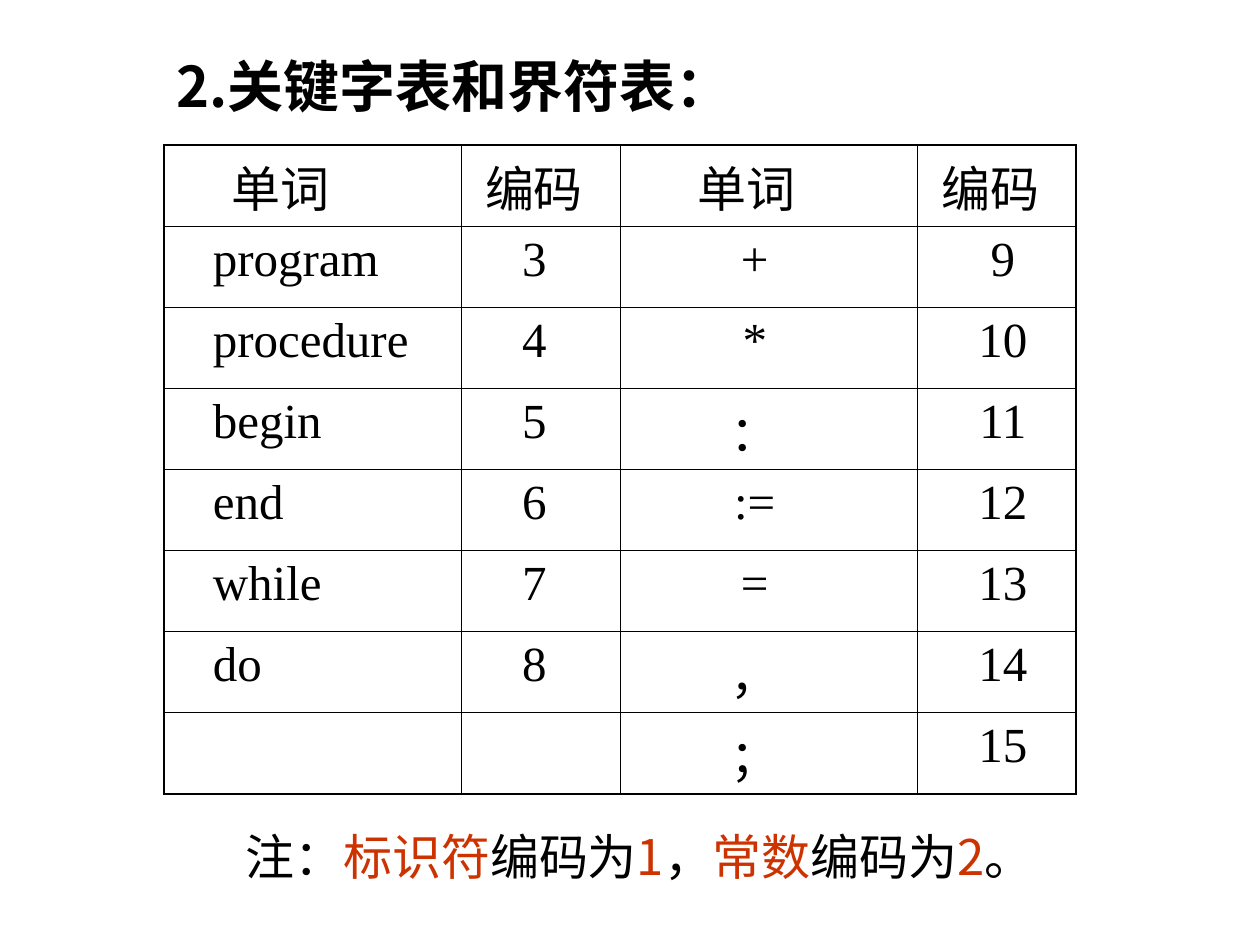
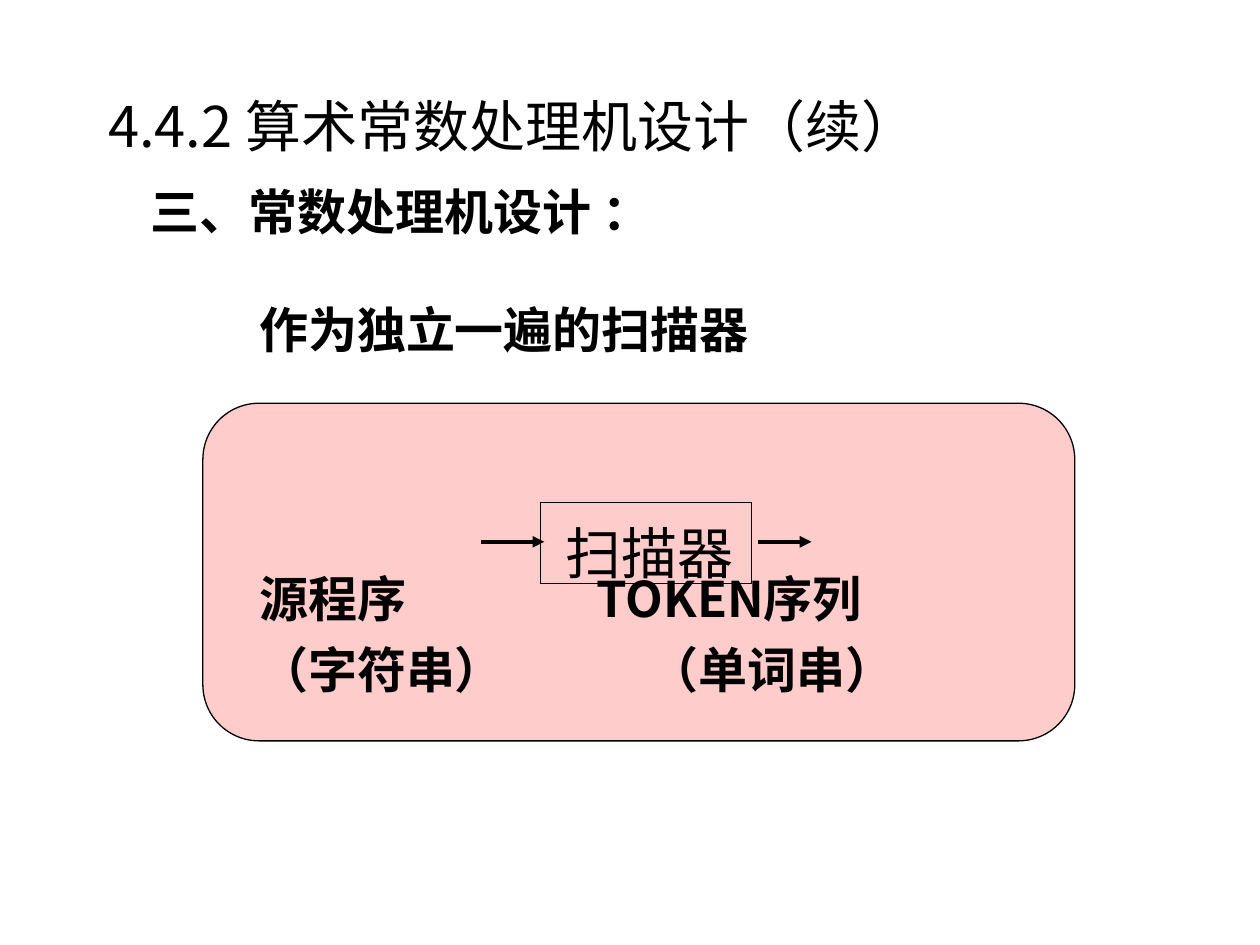
from pptx import Presentation
from pptx.dml.color import RGBColor
from pptx.enum.shapes import MSO_CONNECTOR as Conn, MSO_SHAPE as Kind
from pptx.enum.text import MSO_AUTO_SIZE as Auto, PP_ALIGN as Align
from pptx.oxml import parse_xml
from pptx.oxml.ns import nsdecls, qn
from pptx.util import Inches, Pt
from lxml.etree import SubElement

BLACK = RGBColor(0, 0, 0)
RED = RGBColor(0xCC, 0x33, 0x00)
PINK = RGBColor(0xFF, 0xCC, 0xCC)
SANS = "Noto Sans CJK SC"
SERIF = "Times New Roman"
THIN, THICK = 0.45, 1.08

HEAD = ["单词", "编码", "单词", "编码"]
WORDS = ["program", "procedure", "begin", "end", "while", "do", ""]
SIGNS = ["+", "*", "：", ":=", "=", "，", "；"]
HEAD_PADS = [(0.54, 0), (0.19, 0), (0.62, 0), (0.19, 0)]
BODY_PADS = [(0.39, 0.1), (0.1, 0.2), (0.1, 0.32), (0.2, 0.1)]
NOTE = [("注：", BLACK), ("标识符", RED), ("编码为", BLACK), ("1", RED),
        ("，", BLACK), ("常数", RED), ("编码为", BLACK), ("2", RED), ("。", BLACK)]


def write(para, text, size=28, bold=False, color=BLACK, face=SANS):
    """Add a run of text in the given format."""
    run = para.add_run()
    run.text = text
    font = run.font
    font.size, font.bold, font.name = Pt(size), bold, face
    font.color.rgb = color
    SubElement(font._element, qn("a:ea")).set("typeface", SANS)


class Deck:
    """Hold the style and the current slide."""

    def __init__(self):
        """Start an empty deck."""
        self.prs = Presentation()
        self.prs.slide_width, self.prs.slide_height = Inches(10), Inches(7.5)

    def page(self):
        """Add a blank slide."""
        self.shapes = self.prs.slides.add_slide(self.prs.slide_layouts[6]).shapes

    def box(self, x, y, w, h, hang=0):
        """Add a growing text box and return its first paragraph."""
        frame = self.shapes.add_textbox(*map(Inches, (x, y, w, h))).text_frame
        frame.word_wrap = True
        frame.auto_size = Auto.SHAPE_TO_FIT_TEXT
        para = frame.paragraphs[0]
        if hang:
            props = para._p.get_or_add_pPr()
            props.set("marL", str(Inches(hang)))
            props.set("indent", str(-Inches(hang)))
        return para

    def pairs(self, x, y, w, h, rows):
        """Add a text box with two tabbed parts on each line."""
        para = self.box(x, y, w, h)
        frame = para._parent
        for i, (left, right, stop) in enumerate(rows):
            if i:
                para = frame.add_paragraph()
                para.space_before = Pt(7)
            tabs = SubElement(para._p.get_or_add_pPr(), qn("a:tabLst"))
            tab = SubElement(tabs, qn("a:tab"))
            tab.set("pos", str(Inches(stop)))
            tab.set("algn", "l")
            write(para, f"{left}\t{right}", bold=True)

    def panel(self, x, y, w, h):
        """Add the rounded panel."""
        shape = self.shapes.add_shape(Kind.FLOWCHART_ALTERNATE_PROCESS,
                                      *map(Inches, (x, y, w, h)))
        shape.shadow.inherit = False
        shape.fill.solid()
        shape.fill.fore_color.rgb = PINK
        shape.line.color.rgb = BLACK
        shape.line.width = Pt(0.75)

    def arrow(self, x, y, end):
        """Add a level arrow."""
        line = self.shapes.add_connector(Conn.STRAIGHT, *map(Inches, (x, y, end, y)))
        line.line.color.rgb = BLACK
        line.line.width = Pt(2.25)
        SubElement(line.line._get_or_add_ln(), qn("a:tailEnd")).set("type", "triangle")
        SubElement(line._element.spPr, qn("a:effectLst"))

    def grid(self, x, y, cols, rows, h):
        """Add a plain table."""
        frame = self.shapes.add_table(rows, len(cols),
                                      *map(Inches, (x, y, sum(cols), h)))
        table = frame.table
        table.first_row = table.horz_banding = False
        for col, wide in zip(table.columns, cols):
            col.width = Inches(wide)
        return table

    def cell(self, table, r, c, text, pads, edges, size=28, align=Align.LEFT):
        """Fill one cell and rule its edges."""
        cell = table.cell(r, c)
        cell.margin_left, cell.margin_right = map(Inches, pads)
        cell.margin_top, cell.margin_bottom = Inches(0.05), 0
        cell.fill.background()
        para = cell.text_frame.paragraphs[0]
        para.alignment = align
        if text:
            write(para, text, size, face=SERIF)
        props = cell._tc.get_or_add_tcPr()
        for i, (side, wide) in enumerate(zip("LRTB", edges)):
            props.insert(i, parse_xml(
                f'<a:ln{side} {nsdecls("a")} w="{Pt(wide)}"><a:solidFill>'
                f'<a:srgbClr val="{BLACK}"/></a:solidFill></a:ln{side}>'))


def tables(deck):
    """Build the slide of keywords and signs."""
    deck.page()
    write(deck.box(1.3, 0.36, 5.51, 0.64, hang=0.5), "2.关键字表和界符表：", 32, True)
    body = [[word, str(i + 3) if word else "", sign, str(i + 9)]
            for i, (word, sign) in enumerate(zip(WORDS, SIGNS))]
    rows = [HEAD] + body
    table = deck.grid(1.3, 1.15, [2.36, 1.26] * 2, len(rows), 5.15)
    for r, row in enumerate(rows):
        for c, text in enumerate(row):
            outer = (c == 0, c == 3, r == 0, r == len(body))
            edges = [THICK if out else THIN for out in outer]
            pads = BODY_PADS[c] if r else HEAD_PADS[c]
            align = Align.CENTER if r and c else Align.LEFT
            deck.cell(table, r, c, text, pads, edges, align=align)
    note = deck.box(1.85, 6.51, 6.46, 0.57, hang=0.5)
    for text, color in NOTE:
        write(note, text, color=color)


def scanner(deck):
    """Build the slide of the scanner."""
    deck.page()
    deck.panel(1.61, 3.2, 6.92, 2.68)
    deck.pairs(1.96, 4.46, 6.67, 1.13, [("源程序", "TOKEN序列", 2.68),
                                        ("（字符串）", "（单词串）", 3.1)])
    table = deck.grid(4.29, 3.99, [1.67], 1, 0.64)
    deck.cell(table, 0, 0, "扫描器", (0.2, 0), (THICK, THIN, THIN, THICK), 32)
    deck.arrow(3.82, 4.3, 4.32)
    deck.arrow(6.02, 4.3, 6.44)
    write(deck.box(1.96, 2.33, 5.83, 0.57), "作为独立一遍的扫描器", bold=True)
    write(deck.box(0.76, 0.68, 7.15, 0.64), "4.4.2 算术常数处理机设计（续）", 32)
    write(deck.box(1.1, 1.39, 7.33, 0.57), "三、常数处理机设计 ：", bold=True)


def main():
    """Build and save the deck."""
    deck = Deck()
    tables(deck)
    scanner(deck)
    deck.prs.save("out.pptx")


if __name__ == "__main__":
    main()
